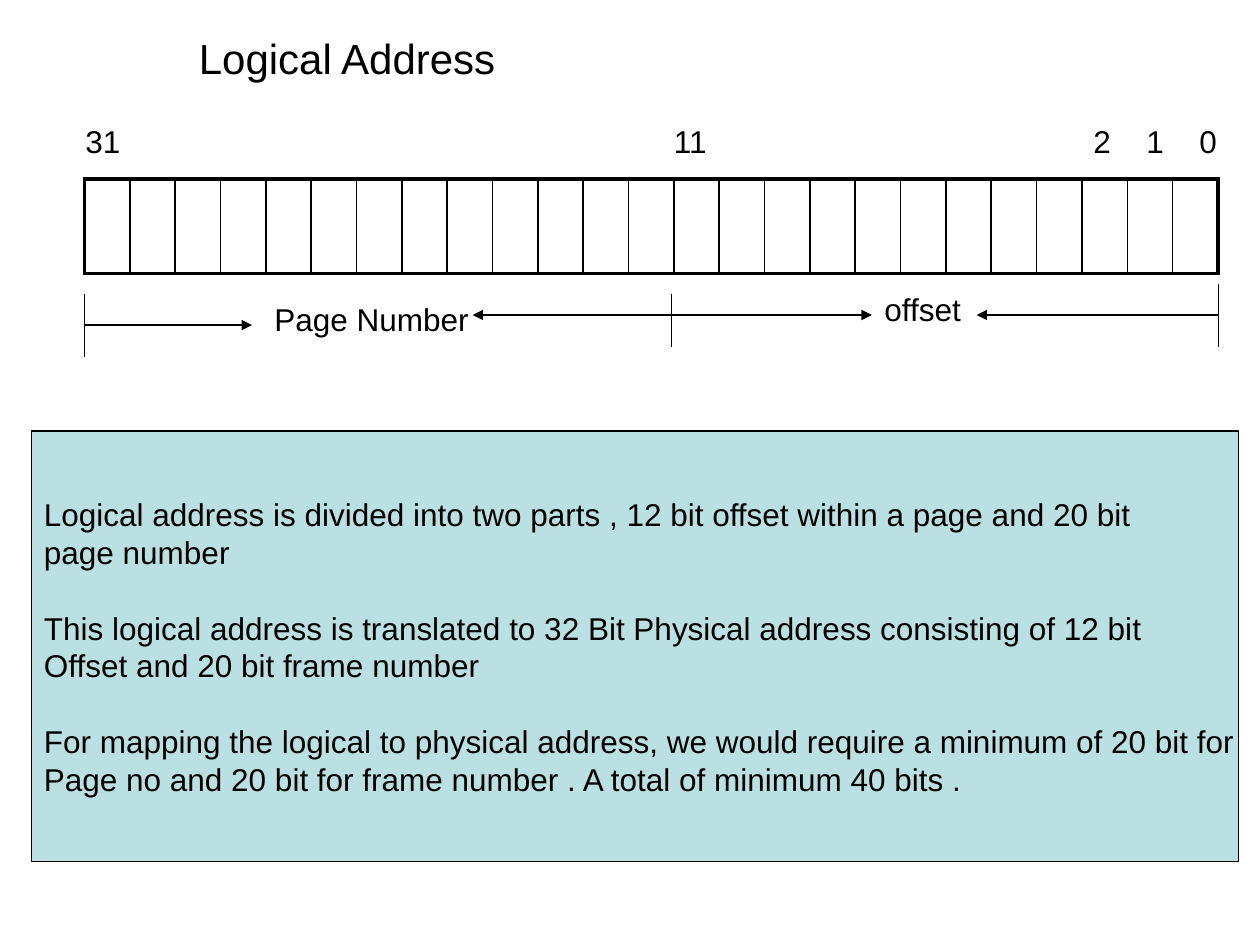
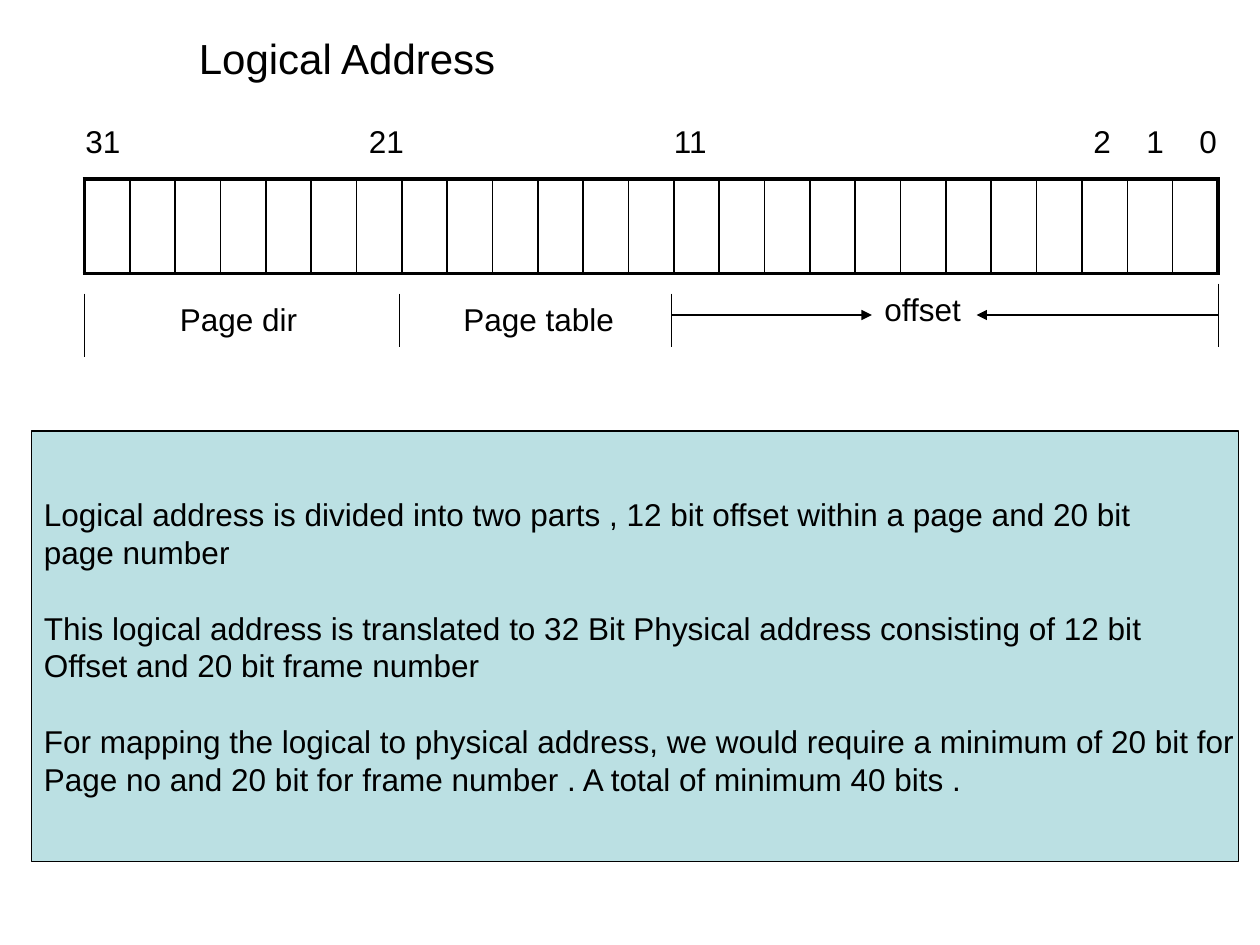
from typing import NamedTuple

from lxml.etree import SubElement
from pptx import Presentation
from pptx.dml.color import RGBColor
from pptx.enum.shapes import MSO_CONNECTOR, MSO_SHAPE
from pptx.enum.text import MSO_ANCHOR, MSO_AUTO_SIZE, PP_ALIGN
from pptx.oxml.ns import qn
from pptx.slide import Slide
from pptx.text.text import TextFrame
from pptx.util import Inches, Pt

COLORS = {"ink": "000000", "note": "BBE0E3"}
FONT = "Arial"
BITS = 25
LEFT, RIGHT, SPLIT = 0.67, 9.67, 5.33
TOP, CELL, HIGH = 1.42, 0.36, 0.75
BIT_ROW = 0.92
THICK, THIN = 2.25, 1


class Label(NamedTuple):
    text: str
    left: float
    top: float
    width: float
    height: float = 0.4
    size: int = 18
    wrap: bool = False


class Rule(NamedTuple):
    x1: float
    y1: float
    x2: float
    y2: float
    arrow: bool = False


# Parts on both slides
LABELS = [
    Label("Logical Address", 1.48, 0.21, 4.93, 0.5, 24, True),
    Label("31", 0.58, BIT_ROW, 0.48),
    Label("11", 5.25, BIT_ROW, 0.48),
    Label("2", 8.58, BIT_ROW, 0.34),
    Label("1", 9, BIT_ROW, 0.34),
    Label("0", 9.42, BIT_ROW, 0.34),
    Label("offset", 6.92, 2.25, 0.81),
]
RULES = [
    Rule(LEFT, 2.33, LEFT, 2.83),
    Rule(SPLIT, 2.33, SPLIT, 2.75),
    Rule(RIGHT, 2.25, RIGHT, 2.75),
    Rule(SPLIT, 2.5, 6.92, 2.5, True),
    Rule(RIGHT, 2.5, 7.75, 2.5, True),
]
NOTES = [
    ("Logical address is divided into two parts , 12 bit offset within a page and 20 bit",
     "page number"),
    ("This logical address is translated to 32 Bit Physical address consisting of 12 bit",
     "Offset and 20 bit frame number"),
    ("For mapping the logical to physical address, we would require a minimum of 20 bit for",
     "Page no and 20 bit for frame number . A total of minimum 40 bits ."),
]

# Parts that differ: page number whole, then split in two
PAGES = [
    ([Label("Page Number", 2.08, 2.33, 1.81)],
     [Rule(LEFT, 2.58, 2, 2.58, True), Rule(SPLIT, 2.5, 3.75, 2.5, True)]),
    ([Label("21", 2.83, BIT_ROW, 0.48),
      Label("Page dir", 1.33, 2.33, 1.21),
      Label("Page table", 3.58, 2.33, 1.48)],
     [Rule(3.17, 2.33, 3.17, 2.75)]),
]


def color(name: str) -> RGBColor:
    return RGBColor.from_string(COLORS[name])


def style(frame: TextFrame, size: int = 18) -> None:
    for para in frame.paragraphs:
        para.alignment = PP_ALIGN.LEFT
        for run in para.runs:
            run.font.name = FONT
            run.font.size = Pt(size)
            run.font.color.rgb = color("ink")


def add_label(slide: Slide, label: Label) -> None:
    box = slide.shapes.add_textbox(Inches(label.left), Inches(label.top),
                                   Inches(label.width), Inches(label.height))
    frame = box.text_frame
    frame.word_wrap = label.wrap
    frame.auto_size = MSO_AUTO_SIZE.SHAPE_TO_FIT_TEXT
    frame.text = label.text
    style(frame, label.size)


def add_rule(slide: Slide, rule: Rule) -> None:
    line = slide.shapes.add_connector(
        MSO_CONNECTOR.STRAIGHT, Inches(rule.x1), Inches(rule.y1),
        Inches(rule.x2), Inches(rule.y2))
    line.line.color.rgb = color("ink")
    line.line.width = Pt(0.75)
    props = line._element.spPr
    if rule.arrow:
        SubElement(props.find(qn("a:ln")), qn("a:tailEnd"), type="triangle")
    SubElement(props, qn("a:effectLst"))


def add_bits(slide: Slide) -> None:
    table = slide.shapes.add_table(
        1, BITS, Inches(LEFT), Inches(TOP), Inches(CELL * BITS), Inches(HIGH)).table
    table.first_row = table.horz_banding = False
    for col in table.columns:
        col.width = Inches(CELL)
    for i, cell in enumerate(table.iter_cells()):
        edges = {"lnL": THIN if i else THICK,
                 "lnR": THIN if i < BITS - 1 else THICK,
                 "lnT": THICK, "lnB": THICK}
        props = cell._tc.get_or_add_tcPr()
        for tag, width in edges.items():
            edge = SubElement(props, qn(f"a:{tag}"), w=str(Pt(width)))
            fill = SubElement(edge, qn("a:solidFill"))
            SubElement(fill, qn("a:srgbClr"), val=COLORS["ink"])
        cell.fill.background()


def add_note(slide: Slide) -> None:
    box = slide.shapes.add_shape(MSO_SHAPE.RECTANGLE, Inches(0.25), Inches(3.42),
                                 Inches(9.58), Inches(3.42))
    box.shadow.inherit = False
    box.fill.solid()
    box.fill.fore_color.rgb = color("note")
    box.line.color.rgb = color("ink")
    box.line.width = Pt(0.75)
    frame = box.text_frame
    frame.word_wrap = False
    frame.vertical_anchor = MSO_ANCHOR.MIDDLE
    frame.text = "\n".join(line for note in NOTES for line in note)
    style(frame)
    # One line of space ahead of each later note
    for para in frame.paragraphs[2::2]:
        para.space_before = Pt(21.6)


def main() -> None:
    deck = Presentation()
    deck.slide_width, deck.slide_height = Inches(10), Inches(7.5)
    for labels, rules in PAGES:
        slide = deck.slides.add_slide(deck.slide_layouts[6])
        add_bits(slide)
        add_note(slide)
        for label in LABELS + labels:
            add_label(slide, label)
        for rule in RULES + rules:
            add_rule(slide, rule)
    deck.save("out.pptx")


if __name__ == "__main__":
    main()
